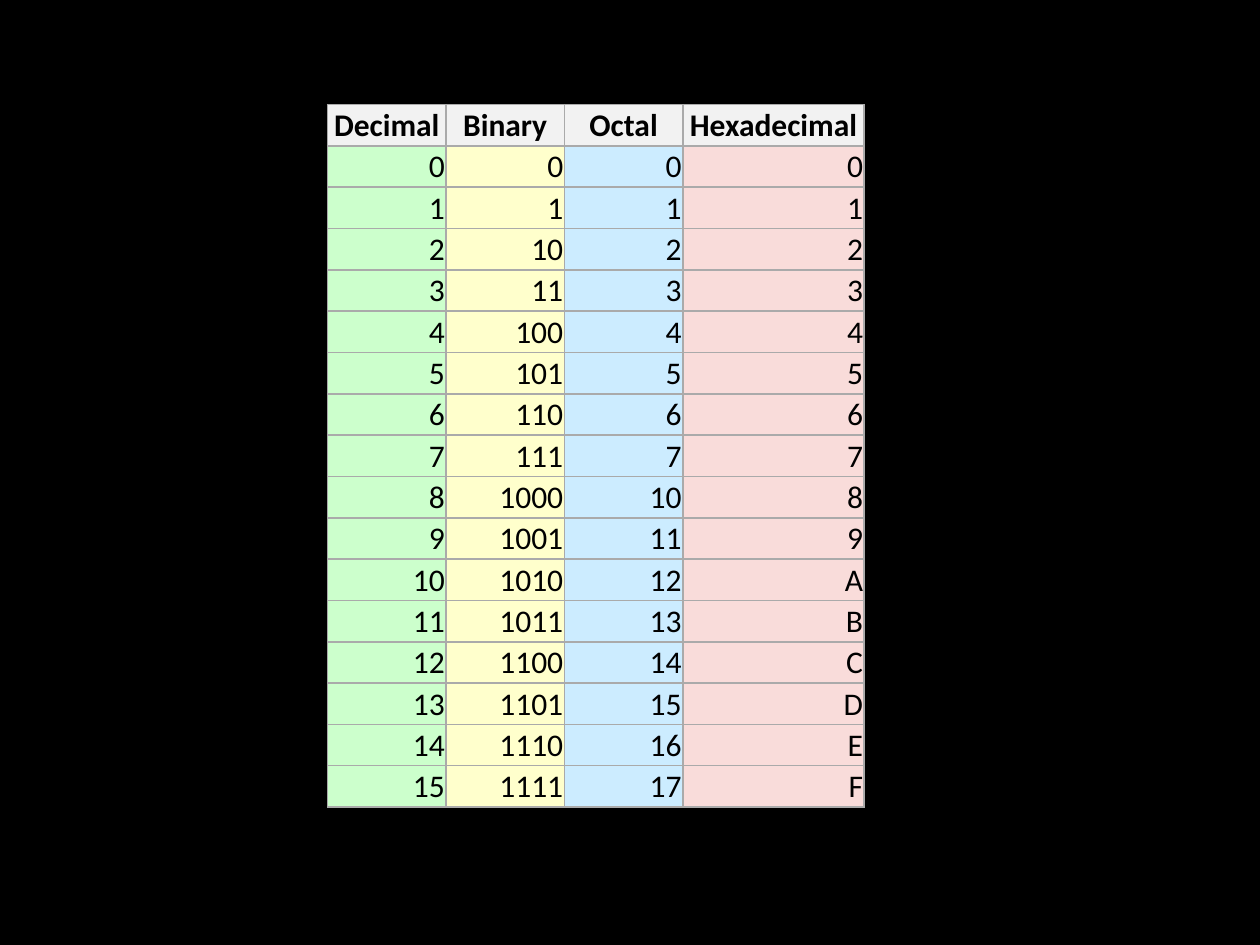
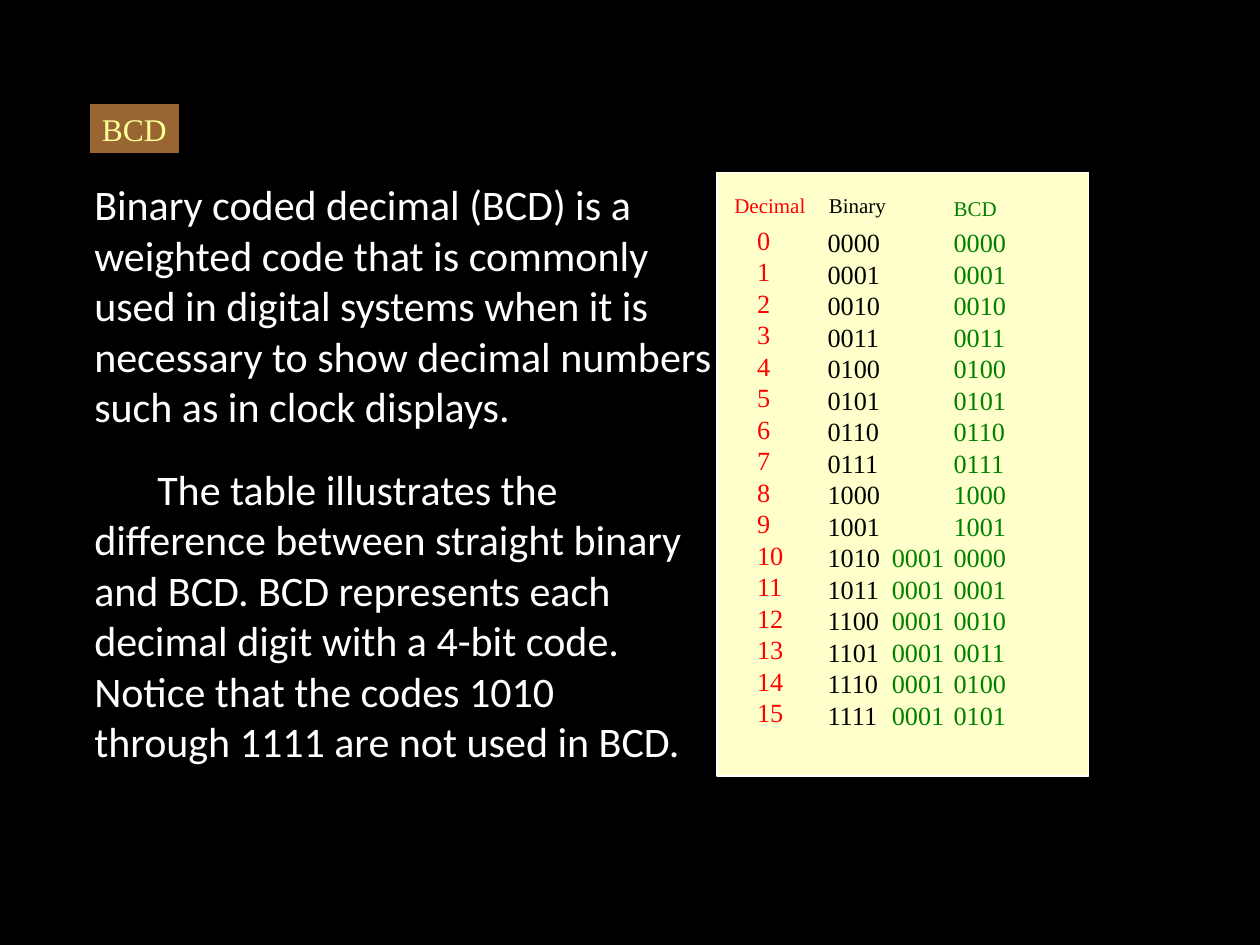
from lxml import etree
from pptx import Presentation
from pptx.dml.color import RGBColor
from pptx.enum.shapes import MSO_SHAPE
from pptx.enum.text import MSO_ANCHOR, PP_ALIGN
from pptx.oxml.ns import qn
from pptx.util import Inches, Pt

RECT = MSO_SHAPE.RECTANGLE
MIDDLE = MSO_ANCHOR.MIDDLE
LEFT, CENTER, RIGHT = PP_ALIGN.LEFT, PP_ALIGN.CENTER, PP_ALIGN.RIGHT

SANS, SERIF = "Calibri", "Times New Roman"
BLACK, WHITE, CREAM = "000000", "FFFFFF", "FFFFCC"
RED, GREEN, GRAY = "FF0000", "008000", "AAAAAA"
NUMBERS = range(16)

# Number systems: heading, format, column width, fill
BASES = [
    ("Decimal", "d", 0.94, "CCFFCC"),
    ("Binary", "b", 0.94, CREAM),
    ("Octal", "o", 0.94, "CCECFF"),
    ("Hexadecimal", "X", 1.44, "F9DCDA"),
]
HEAD_FILL = "F2F2F2"
TABLE_TOP, TABLE_HIGH = 0.83, 5.58

# Body text: words, left, top, width, height, first-line indent
BODY = [
    ("Binary coded decimal (BCD) is a weighted code that is commonly used "
     "in digital systems when it is necessary to show decimal numbers such "
     "as in clock displays.", 0.65, 1.37, 5.27, 2.12, 0),
    ("The table illustrates the difference between straight binary and BCD. "
     "BCD represents each decimal digit with a 4-bit code. Notice that the "
     "codes 1010 through 1111 are not used in BCD.",
     0.65, 3.63, 4.9, 2.9, 0.5),
]

# Code chart headings: word, left, top, width, colour
HEADS = [
    ("Decimal", 5.73, 1.48, 1.12, RED),
    ("Binary", 6.48, 1.48, 0.75, BLACK),
    ("BCD", 7.47, 1.5, 0.75, GREEN),
]
# Code chart columns: lines, left, top, width, colour
CODES = [
    ([str(n) for n in NUMBERS], 5.91, 1.73, 0.42, RED),
    ([f"{n:04b}" for n in NUMBERS], 6.47, 1.75, 0.69, BLACK),
    ([f"{n % 10:04b}" for n in NUMBERS], 7.47, 1.75, 0.69, GREEN),
    ([f"{n // 10:04b}" for n in NUMBERS if n > 9], 6.98, 4.25, 0.69, GREEN),
]
PITCH = 18


def paint(fill, color):
    """Make a fill solid in a hex colour."""
    fill.solid()
    fill.fore_color.rgb = RGBColor.from_string(color)


def write(para, text, size, font, color, bold=False):
    """Add one formatted run to a paragraph."""
    run = para.add_run()
    run.text = text
    run.font.size, run.font.name, run.font.bold = Pt(size), font, bold
    run.font.color.rgb = RGBColor.from_string(color)


def add_text(slide, box, lines, size, font, color, pitch=None, indent=0):
    """Add a wrapping text box with one paragraph of broken lines."""
    frame = slide.shapes.add_textbox(*map(Inches, box)).text_frame
    frame.word_wrap = True
    para = frame.paragraphs[0]
    if pitch:
        para.line_spacing = Pt(pitch)
    if indent:
        para._p.get_or_add_pPr().set("indent", str(Inches(indent)))
    for i, line in enumerate(lines):
        if i:
            para.add_line_break()
        write(para, line, size, font, color)


def add_panel(slide, box, fill, line):
    """Add a flat rectangle with a thin outline."""
    shape = slide.shapes.add_shape(RECT, *map(Inches, box))
    shape.shadow.inherit = False
    paint(shape.fill, fill)
    paint(shape.line.fill, line)
    shape.line.width = Pt(0.75)
    return shape


def add_borders(cell, color, width):
    """Draw all four borders of a table cell."""
    props = cell._tc.get_or_add_tcPr()
    for i, side in enumerate(("lnL", "lnR", "lnT", "lnB")):
        edge = etree.Element(qn(f"a:{side}"), w=str(Pt(width)))
        solid = etree.SubElement(edge, qn("a:solidFill"))
        etree.SubElement(solid, qn("a:srgbClr"), val=color)
        props.insert(i, edge)


def fill_cell(cell, text, align, fill, bold):
    """Write and format one table cell."""
    cell.margin_left = cell.margin_right = cell.margin_top = Inches(0.01)
    cell.margin_bottom = 0
    cell.vertical_anchor = MIDDLE
    para = cell.text_frame.paragraphs[0]
    para.alignment = align
    write(para, text, 18, SANS, BLACK, bold)
    paint(cell.fill, fill)
    add_borders(cell, GRAY, 1)


def build_bases(slide):
    """Build the table of number systems."""
    count = len(NUMBERS) + 1
    wide = sum(base[2] for base in BASES)
    table = slide.shapes.add_table(
        count, len(BASES), Inches(2.6), Inches(TABLE_TOP),
        Inches(wide), Inches(TABLE_HIGH)).table
    table.first_row = table.horz_banding = False
    for row in table.rows:
        row.height = Inches(TABLE_HIGH / count)
    for col, (head, code, width, fill) in enumerate(BASES):
        table.columns[col].width = Inches(width)
        fill_cell(table.cell(0, col), head, CENTER, HEAD_FILL, True)
        for n in NUMBERS:
            fill_cell(table.cell(n + 1, col), format(n, code), RIGHT,
                      fill, False)


def build_bcd(slide):
    """Build the BCD text beside its code chart."""
    label = add_panel(slide, (0.71, 0.82, 0.72, 0.4), "996633", BLACK)
    label.text_frame.word_wrap = False
    para = label.text_frame.paragraphs[0]
    para.alignment = LEFT
    write(para, "BCD", 18, SERIF, "FFFF99")
    for text, *box, indent in BODY:
        add_text(slide, box, [text], 24, SANS, WHITE, indent=indent)
    add_panel(slide, (5.69, 1.37, 2.95, 4.79), CREAM, WHITE)
    for word, *box, color in HEADS:
        add_text(slide, (*box, 0.3), [word], 12, SERIF, color)
    for lines, *box, color in CODES:
        high = len(lines) * PITCH / 72 + 0.13
        add_text(slide, (*box, high), lines, 15, SERIF, color, PITCH)


deck = Presentation()
deck.slide_width, deck.slide_height = Inches(10), Inches(7.5)
paint(deck.slide_master.background.fill, BLACK)
blank = deck.slide_layouts[6]
for build in (build_bases, build_bcd):
    build(deck.slides.add_slide(blank))
deck.save("out.pptx")
